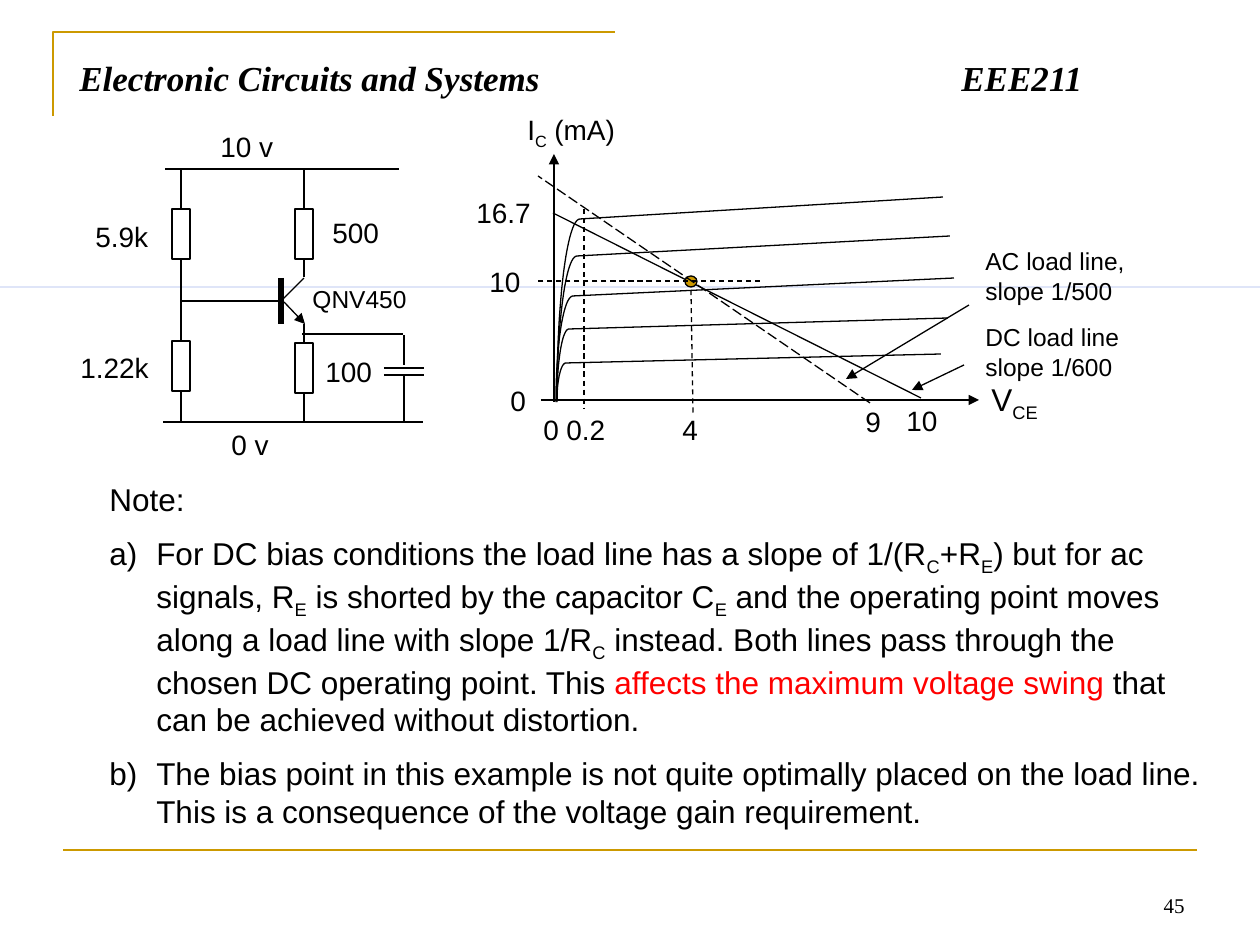
from math import cos, pi, sin

from lxml.etree import SubElement
from pptx import Presentation
from pptx.dml.color import RGBColor
from pptx.enum.dml import MSO_LINE_DASH_STYLE as Dash
from pptx.enum.shapes import MSO_CONNECTOR as Connector, MSO_SHAPE as Shape
from pptx.enum.text import MSO_ANCHOR as Anchor, PP_ALIGN as Align
from pptx.oxml.ns import qn
from pptx.util import Emu, Pt

SCALE = 914400 / 126
COLORS = {"ink": "000000", "gold": "CC9900", "paper": "FFFFFF", "blue": "0033CC", "red": "FF0000"}
TOP, BOTTOM = 0, 2


def px(length):
    return Emu(round(length * SCALE))


def rgb(name):
    return RGBColor.from_string(COLORS[name])


def add_text(shapes, box, *paragraphs, size=16, font="Arial", bold=False, italic=False,
             align=Align.LEFT, anchor=Anchor.TOP, wrap=False, gap=0, hanging=0, tab=None):
    frame = shapes.add_textbox(*map(px, box)).text_frame
    frame.word_wrap = wrap
    frame.vertical_anchor = anchor
    for index, segments in enumerate(paragraphs):
        paragraph = frame.paragraphs[0] if index == 0 else frame.add_paragraph()
        paragraph.alignment = align
        props = paragraph._p.get_or_add_pPr()
        if index:
            paragraph.space_before = Pt(gap)
        if hanging:
            props.set("marL", str(px(hanging)))
            props.set("indent", str(-px(hanging)))
            if index:
                SubElement(props, qn("a:buAutoNum"), type="alphaLcParenR")
        if tab:
            stops = SubElement(props, qn("a:tabLst"))
            SubElement(stops, qn("a:tab"), pos=str(px(tab)), algn="l")
        for words, color in segments if isinstance(segments, list) else [(segments, "ink")]:
            for part, piece in enumerate(words.split("~")):
                if not piece:
                    continue
                run = paragraph.add_run()
                run.text = piece
                run.font.size = Pt(size)
                run.font.name = font
                run.font.bold = bold
                run.font.italic = italic
                run.font.color.rgb = rgb(color)
                if part % 2:
                    run.font._element.set("baseline", "-25000")


def add_line(shapes, x1, y1, x2, y2, color="ink", width=0.75, dash=None, arrow=False):
    wire = shapes.add_connector(Connector.STRAIGHT, px(x1), px(y1), px(x2), px(y2))
    wire.line.color.rgb = rgb(color)
    wire.line.width = Pt(width)
    if dash:
        wire.line.dash_style = dash
    props = wire.element.spPr
    if arrow:
        SubElement(props.find(qn("a:ln")), qn("a:tailEnd"), type="triangle")
    SubElement(props, qn("a:effectLst"))
    return wire


def add_preset(shapes, kind, box, fill, line="ink"):
    preset = shapes.add_shape(kind, *map(px, box))
    preset.shadow.inherit = False
    preset.fill.solid()
    preset.fill.fore_color.rgb = rgb(fill)
    if line:
        preset.line.color.rgb = rgb(line)
        preset.line.width = Pt(0.75)
    else:
        preset.line.fill.background()
    return preset


def add_outline(shapes, points, color="ink", width=0.75):
    start, *rest = [(px(x), px(y)) for x, y in points]
    builder = shapes.build_freeform(*start)
    builder.add_line_segments(rest, close=False)
    outline = builder.convert_to_shape()
    outline.shadow.inherit = False
    outline.fill.background()
    outline.line.color.rgb = rgb(color)
    outline.line.width = Pt(width)


def add_curve(shapes, knee, foot, end, steps=24):
    (kx, ky), (fx, fy) = knee, foot
    angles = [pi / 2 * step / steps for step in range(steps + 1)]
    add_outline(shapes, [(kx - (kx - fx) * sin(a), fy - (fy - ky) * cos(a)) for a in angles])
    add_line(shapes, *end, *knee)


def draw_frame(shapes):
    add_outline(shapes, [(53, 116), (53, 32), (615, 32)], "gold", 1.5)
    add_line(shapes, 63, 850, 1197, 850, "gold", 1.5)
    add_text(shapes, (903, 861, 294, 63), "45", size=12, font="Times New Roman",
             align=Align.RIGHT, anchor=Anchor.BOTTOM, wrap=True)
    add_text(shapes, (67, 50, 1124, 77), "Electronic Circuits and Systems\tEEE211", size=20,
             font="Times New Roman", bold=True, italic=True, wrap=True, tab=882)
    add_preset(shapes, Shape.RECTANGLE, (0, 287, 1260, 0), "blue", None)


def draw_circuit(shapes):
    add_line(shapes, 284, 302, 305, 324, arrow=True)
    add_line(shapes, 281, 278, 281, 324, width=3)
    wires = [(281, 301, 304, 278), (280, 301, 261, 301), (271, 301, 181, 301),
             (399, 169, 165, 169), (181, 170, 181, 421), (423, 422, 163, 422),
             (404, 422, 404, 375), (384, 375, 424, 375), (384, 368, 424, 368),
             (404, 365, 404, 335), (403, 334, 302, 334)]
    for ends in wires:
        add_line(shapes, *ends)
    for x, y in [(172, 209), (172, 341)]:
        add_preset(shapes, Shape.RECTANGLE, (x, y, 18, 50), "paper")
    for y, above, below in [(209, 170, 277), (343, 324, 422)]:
        resistor = add_preset(shapes, Shape.RECTANGLE, (295, y, 18, 50), "paper")
        add_line(shapes, 304, y, 304, above).begin_connect(resistor, TOP)
        add_line(shapes, 304, y + 50, 304, below).begin_connect(resistor, BOTTOM)
    add_text(shapes, (300, 278, 134, 42), "QNV450", size=14)
    labels = [("500", 320, 209, 74), ("10 v", 208, 123, 91), ("0 v", 219, 421, 73),
              ("5.9k", 83, 213, 92), ("1.22k", 68, 344, 104), ("100", 313, 348, 76)]
    for label, x, y, width in labels:
        add_text(shapes, (x, y, width, 47), label)


def draw_graph(shapes):
    add_line(shapes, 554, 402, 554, 154, arrow=True)
    curves = [((580, 219), (557, 399), (943, 197)), ((577, 256), (557, 402), (950, 236)),
              ((573, 296), (556, 402), (954, 278)), ((569, 329), (557, 401), (948, 318)),
              ((566, 363), (557, 401), (941, 354))]
    for knee, foot, end in curves:
        add_curve(shapes, knee, foot, end)
    add_line(shapes, 541, 400, 979, 400, arrow=True)
    add_line(shapes, 921, 398, 553, 213)
    add_preset(shapes, Shape.OVAL, (685, 276, 12, 11), "gold")
    for ends in [(760, 281, 537, 281), (691, 290, 693, 413), (584, 209, 584, 409)]:
        add_line(shapes, *ends, dash=Dash.DASH)
    add_line(shapes, 870, 403, 538, 176, dash=Dash.LONG_DASH)
    for ends in [(964, 365, 912, 390), (969, 305, 846, 379)]:
        add_line(shapes, *ends, arrow=True)
    add_text(shapes, (979, 374, 91, 50), "V~CE~", size=18)
    labels = [("I~C~ (mA)", 515, 106, 136), ("16.7", 464, 189, 88), ("10", 477, 258, 62),
              ("0", 498, 377, 48), ("0", 531, 406, 48), ("0.2", 554, 406, 69),
              ("4", 670, 406, 69), ("9", 853, 398, 69), ("10", 894, 397, 69)]
    for label, x, y, width in labels:
        add_text(shapes, (x, y, width, 47), label)
    for label, y in [("DC load line slope 1/600", 316), ("AC load line, slope 1/500", 240)]:
        add_text(shapes, (973, y, 185, 72), label, size=14, wrap=True)


def draw_notes(shapes):
    bias = [("For DC bias conditions the load line has a slope of 1/(R~C~+R~E~) but for ac signals, "
             "R~E~ is shorted by the capacitor C~E~ and the operating point moves along a load line "
             "with slope 1/R~C~ instead. Both lines pass through the chosen DC operating point. "
             "This ", "ink"),
            ("affects the maximum voltage swing ", "red"),
            ("that can be achieved without distortion.", "ink")]
    placement = ("The bias point in this example is not quite optimally placed on the load line. "
                 "This is a consequence of the voltage gain requirement.")
    add_text(shapes, (97, 474, 1124, 354), "Note:", bias, placement,
             size=18, wrap=True, gap=9, hanging=47)


def main():
    deck = Presentation()
    deck.slide_width, deck.slide_height = px(1260), px(945)
    shapes = deck.slides.add_slide(deck.slide_layouts[6]).shapes
    draw_frame(shapes)
    draw_circuit(shapes.add_group_shape().shapes)
    draw_notes(shapes)
    draw_graph(shapes.add_group_shape().shapes)
    deck.save("out.pptx")


if __name__ == "__main__":
    main()
